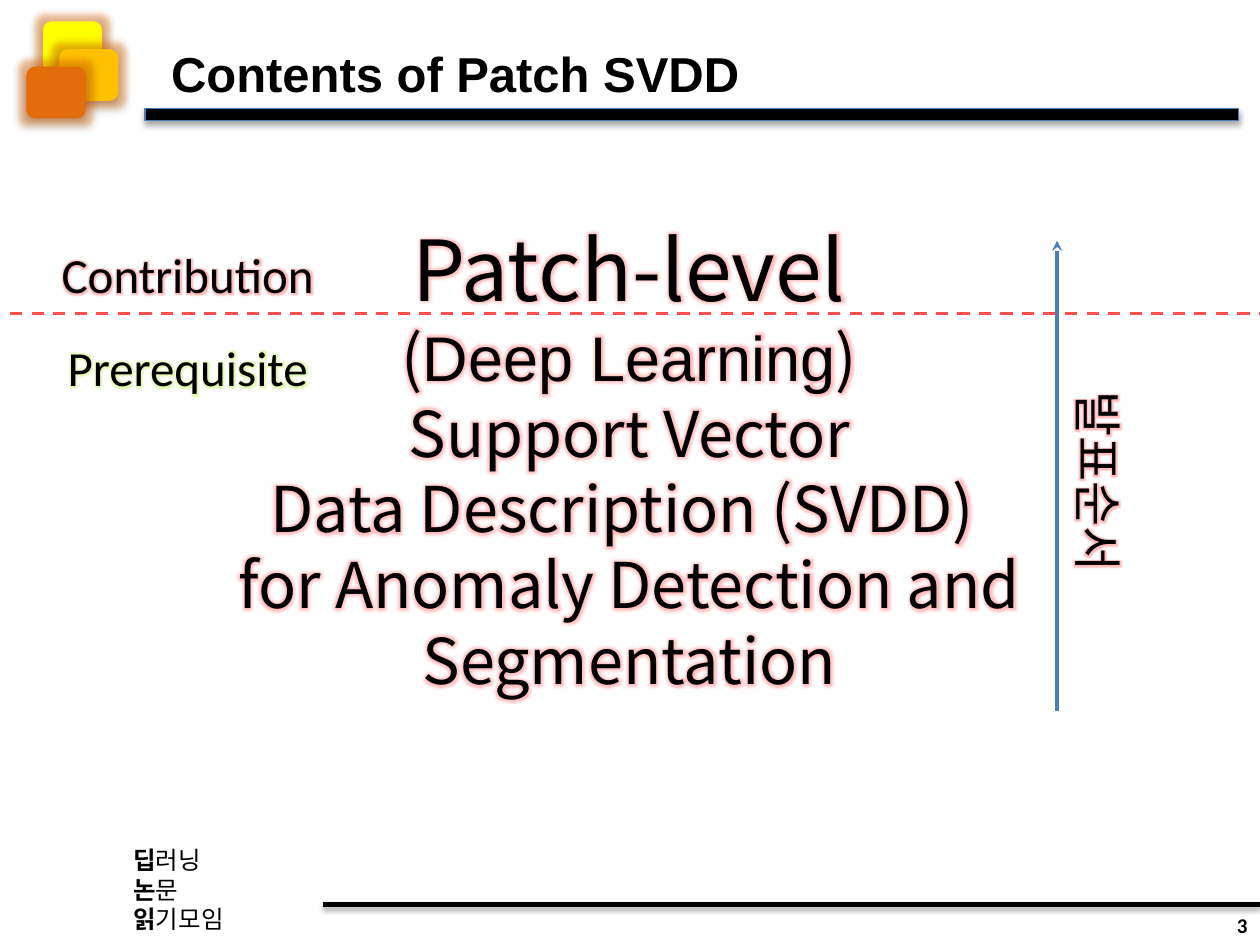
from lxml.etree import SubElement
from pptx import Presentation
from pptx.dml.color import RGBColor
from pptx.enum.dml import MSO_LINE
from pptx.enum.shapes import MSO_CONNECTOR, MSO_SHAPE
from pptx.enum.text import MSO_ANCHOR, PP_ALIGN
from pptx.oxml.ns import qn
from pptx.util import Inches, Pt

THEME = {
    "black": "000000", "blue": "4B7EBC", "red": "FF5050", "lime": "B4F03C",
    "yellow": "FFFF00", "amber": "FFC000", "orange": "E46C0A",
    "sans": "Arial", "body": "Calibri", "korean": "Noto Sans CJK KR",
    "hero": 48, "topic": 36, "heading": 28, "footer": 14, "number": 12,
}

# Content: a paragraph is a list of lines, a line is a list of (text, format)
KOREAN = {"font": "korean"}
HERO, TOPIC = {"size": "hero"}, {"size": "topic"}
BOLD = {"bold": True}
CLUB = [[[("딥", BOLD), ("러닝", {})]],
        [[("논", BOLD), ("문", {})], [("읽", BOLD), ("기모임", {})]]]
TOPICS = [
    [[("Patch-level", HERO)]],
    [[("(", TOPIC), ("Deep Learning", TOPIC | {"font": "sans"}), (")", TOPIC)],
     [(" Support Vector ", TOPIC)]],
    [[("Data Description (SVDD) ", TOPIC)]],
    [[("for Anomaly Detection and Segmentation", TOPIC)]],
]
LABEL = {"size": "heading", "font": "body"}


def single(text):
    return [[[(text, {})]]]


# (paragraphs, box, run format, frame format, alignment, glow, rotation)
TEXTS = [
    (CLUB, (0.96, 6.66, 0.98, 0.81), KOREAN | {"size": "footer"},
     {"word_wrap": False}, PP_ALIGN.LEFT, None, 0),
    (single("Contents of Patch SVDD"), (1.26, 0.24, 8.57, 0.67),
     BOLD | {"size": "heading", "font": "sans"},
     {"vertical_anchor": MSO_ANCHOR.MIDDLE}, PP_ALIGN.LEFT, None, 0),
    (single("3"), (9.14, 7.2, 0.86, 0.28), BOLD | {"size": "number", "font": "body"},
     {"vertical_anchor": MSO_ANCHOR.MIDDLE}, PP_ALIGN.RIGHT, None, 0),
    (TOPICS, (0.41, 1.68, 9.17, 3.94), KOREAN, {}, PP_ALIGN.CENTER, "red", 0),
    (single("Contribution"), (0.27, 1.89, 2.44, 0.57), LABEL, {},
     PP_ALIGN.CENTER, "red", 0),
    (single("Prerequisite"), (0.27, 2.63, 2.44, 0.57), LABEL, {},
     PP_ALIGN.CENTER, "lime", 0),
    (single("발표순서"), (7.5, 3.54, 2.44, 0.57), LABEL, {},
     PP_ALIGN.CENTER, "red", 90),
]
BLOCK_SIZE = (0.47, 0.41)
BLOCKS = [(0.34, 0.17, "yellow"), (0.47, 0.39, "amber"), (0.21, 0.53, "orange")]
# (from, to, colour, width, dash, arrowhead, shadow)
LINES = [
    ((2.56, 7.18), (10, 7.18), "black", 3, None, None, True),
    ((0.08, 2.49), (10, 2.49), "red", 1.75, MSO_LINE.DASH, None, False),
    ((8.39, 5.64), (8.39, 1.91), "blue", 2, None, "stealth", False),
]


def rgb(name):
    return RGBColor.from_string(THEME[name])


def add_effect(effects, kind, color, alpha, **settings):
    effect = SubElement(effects, qn(f"a:{kind}"),
                        {key: str(value) for key, value in settings.items()})
    tint = SubElement(effect, qn("a:srgbClr"), val=THEME[color])
    SubElement(tint, qn("a:alpha"), val=str(alpha * 1000))


def add_shadow(effects):
    add_effect(effects, "outerShdw", "black", 35, blurRad=Pt(3.1), dist=Pt(1.8),
               dir=90 * 60000, rotWithShape=0)


def add_block(slide, kind, box, fill, outline=None, glow=None):
    block = slide.shapes.add_shape(kind, *map(Inches, box))
    block.fill.solid()
    block.fill.fore_color.rgb = rgb(fill)
    if outline:
        block.line.color.rgb = rgb(outline)
        block.line.width = Pt(0.75)
    else:
        block.line.fill.background()
    block.shadow.inherit = False
    effects = block._element.spPr.find(qn("a:effectLst"))
    if glow:
        add_effect(effects, "glow", glow, 40, rad=Pt(8))
    add_shadow(effects)


def add_line(slide, start, end, color, width, dash, arrowhead, shadow):
    line = slide.shapes.add_connector(MSO_CONNECTOR.STRAIGHT,
                                      *map(Inches, start + end))
    line.line.color.rgb = rgb(color)
    line.line.width = Pt(width)
    if dash:
        line.line.dash_style = dash
    if arrowhead:
        SubElement(line.line._get_or_add_ln(), qn("a:tailEnd"), type=arrowhead)
    effects = SubElement(line._element.spPr, qn("a:effectLst"))
    if shadow:
        add_shadow(effects)


def add_run(paragraph, text, style, glow):
    run = paragraph.add_run()
    run.text = text
    typeface = THEME[style["font"]]
    values = {"size": Pt(THEME[style["size"]]), "name": typeface,
              "bold": style.get("bold", False)}
    for key, value in values.items():
        setattr(run.font, key, value)
    run.font.color.rgb = rgb("black")
    properties = run.font._element
    SubElement(properties, qn("a:ea"), typeface=THEME["korean"])
    if glow:
        effects = SubElement(properties, qn("a:effectLst"))
        add_effect(effects, "glow", glow, 40, rad=Pt(5))
        properties.find(qn("a:solidFill")).addnext(effects)


def add_text(slide, paragraphs, box, style, frame_format, align, glow, rotation):
    holder = slide.shapes.add_textbox(*map(Inches, box))
    holder.rotation = rotation
    frame = holder.text_frame
    for key, value in ({"word_wrap": True} | frame_format).items():
        setattr(frame, key, value)
    for index, lines in enumerate(paragraphs):
        paragraph = frame.add_paragraph() if index else frame.paragraphs[0]
        paragraph.alignment = align
        for number, line in enumerate(lines):
            if number:
                paragraph.add_line_break()
            for text, change in line:
                add_run(paragraph, text, style | change, glow)


def main():
    deck = Presentation()
    deck.slide_width, deck.slide_height = Inches(10), Inches(7.5)
    slide = deck.slides.add_slide(deck.slide_layouts[6])

    # Header bar and overlapping blocks
    add_block(slide, MSO_SHAPE.RECTANGLE, (1.15, 0.86, 8.68, 0.1), "black", "blue")
    for left, top, color in BLOCKS:
        add_block(slide, MSO_SHAPE.ROUNDED_RECTANGLE, (left, top, *BLOCK_SIZE),
                  color, glow="orange")

    # Footer rule, divider and reading-order arrow
    for line in LINES:
        add_line(slide, *line)

    # Title, topics, labels and footer
    for text in TEXTS:
        add_text(slide, *text)

    deck.save("out.pptx")


if __name__ == "__main__":
    main()
